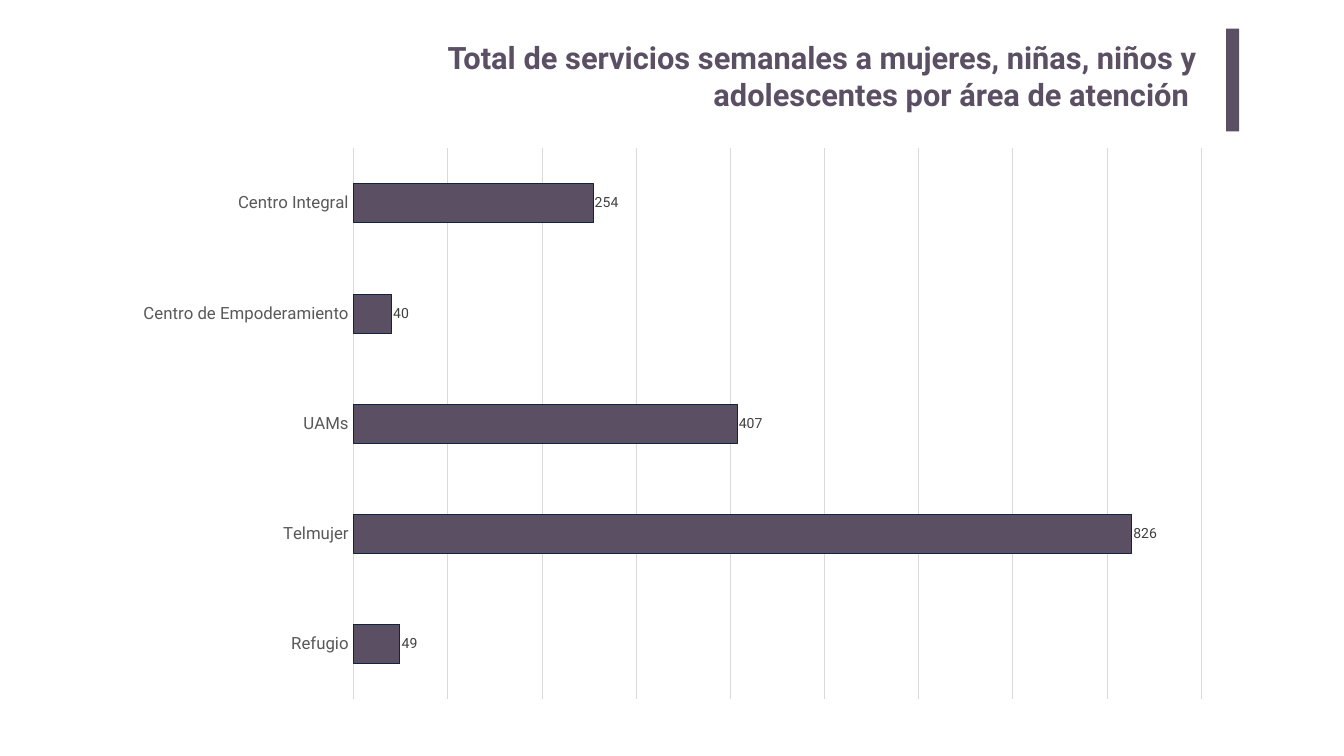
from pptx import Presentation
from pptx.chart.data import CategoryChartData
from pptx.dml.color import RGBColor
from pptx.enum.chart import XL_CHART_TYPE, XL_LABEL_POSITION, XL_TICK_LABEL_POSITION, XL_TICK_MARK
from pptx.enum.shapes import MSO_SHAPE
from pptx.enum.text import MSO_ANCHOR, PP_ALIGN
from pptx.util import Pt

BAR = XL_CHART_TYPE.BAR_CLUSTERED
OUTSIDE = XL_LABEL_POSITION.OUTSIDE_END
LOW = XL_TICK_LABEL_POSITION.LOW
NO_TICK = XL_TICK_MARK.NONE
RECT = MSO_SHAPE.RECTANGLE
TOP = MSO_ANCHOR.TOP
RIGHT = PP_ALIGN.RIGHT

FONT = "Roboto"
COLORS = {"plum": "5B4F63", "navy": "0F243E", "grid": "D9D9D9",
          "label": "595959", "value": "404040", "black": "000000"}


def rgb(name):
    return RGBColor.from_string(COLORS[name])


def set_font(font, size, color, bold=False):
    for key, value in {"name": FONT, "size": Pt(size), "bold": bold}.items():
        setattr(font, key, value)
    font.color.rgb = rgb(color)


prs = Presentation()
prs.slide_width, prs.slide_height = Pt(1920.24), Pt(1080)
s = prs.slides.add_slide(prs.slide_layouts[6])

title = s.shapes.add_textbox(Pt(472.3), Pt(48.2), Pt(1252.8), Pt(146.9))
tf = title.text_frame
for key, value in {"word_wrap": True, "vertical_anchor": TOP,
                   "margin_left": Pt(14.4), "margin_right": Pt(14.4),
                   "margin_top": Pt(7.2), "margin_bottom": Pt(7.2)}.items():
    setattr(tf, key, value)
p = tf.paragraphs[0]
p.alignment = RIGHT
r = p.add_run()
r.text = "Total de servicios semanales a mujeres, niñas, niños y adolescentes por área de atención "
set_font(r.font, 44, "plum", True)

sp = s.shapes.add_shape(RECT, Pt(1751.8), Pt(41), Pt(18.7), Pt(146.9))
sp.shadow.inherit = False
sp.fill.solid()
sp.fill.fore_color.rgb = rgb("plum")
sp.line.fill.background()

data = CategoryChartData()
data.categories = ["Centro Integral", "Centro de Empoderamiento", "UAMs", "Telmujer", "Refugio"]
data.add_series("Series 1", [254, 40, 407, 826, 49])
chart = s.shapes.add_chart(BAR, Pt(173.5), Pt(195.1), Pt(1573.9), Pt(820.1), data).chart
chart.has_legend = False
chart.has_title = False
set_font(chart.font, 10, "black")

cat_axis, val_axis = chart.category_axis, chart.value_axis
for key, value in {"major_tick_mark": NO_TICK, "minor_tick_mark": NO_TICK,
                   "tick_label_position": LOW, "reverse_order": True}.items():
    setattr(cat_axis, key, value)
for key, value in {"minimum_scale": 0, "maximum_scale": 900, "major_unit": 100,
                   "has_major_gridlines": True, "visible": False}.items():
    setattr(val_axis, key, value)
set_font(cat_axis.tick_labels.font, 24, "label")

plot = chart.plots[0]
plot.gap_width = 182
plot.vary_by_categories = False
series = plot.series[0]
series.format.fill.solid()
series.format.fill.fore_color.rgb = rgb("plum")
for fmt, color in ((cat_axis.format, "grid"), (val_axis.major_gridlines.format, "grid"),
                   (series.format, "navy")):
    fmt.line.color.rgb = rgb(color)
    fmt.line.width = Pt(0.75)

labels = series.data_labels
labels.show_value = True
labels.position = OUTSIDE
set_font(labels.font, 20, "value")

prs.save("out.pptx")
